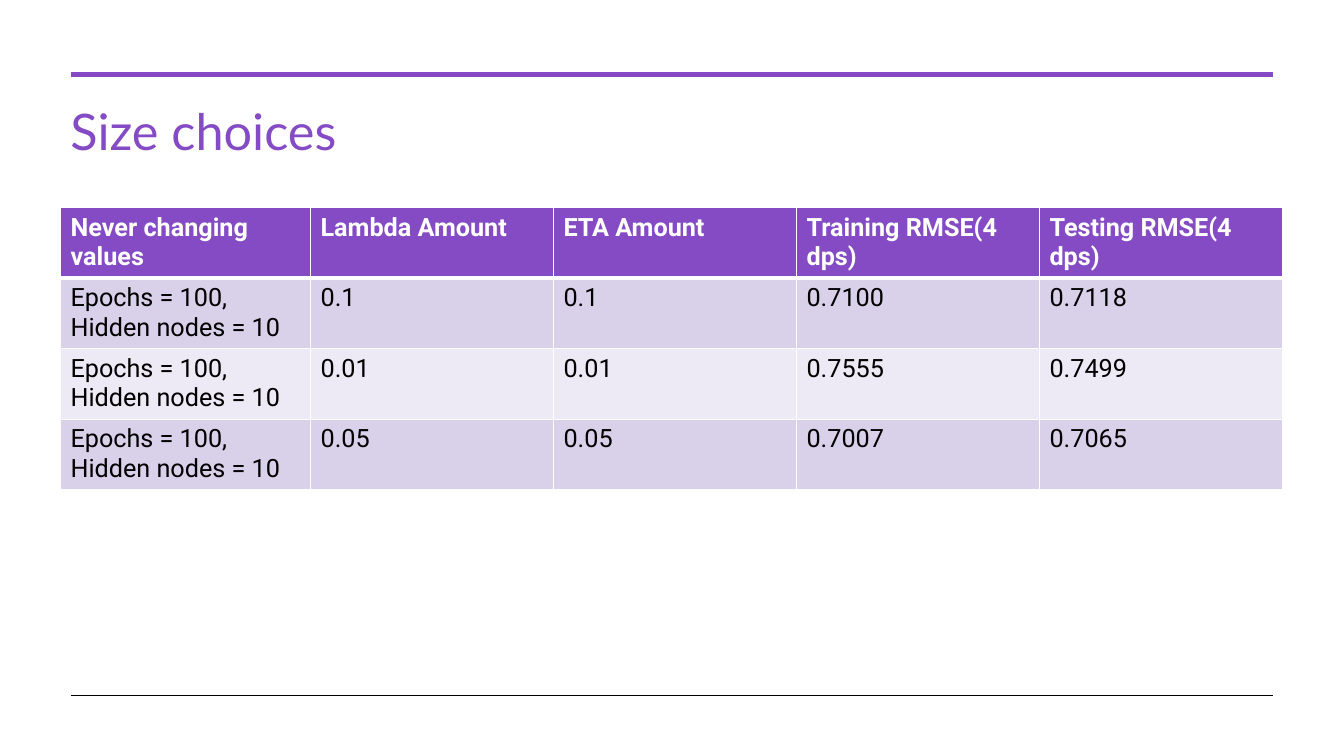
from lxml.etree import SubElement
from pptx import Presentation
from pptx.dml.color import RGBColor
from pptx.enum.shapes import MSO_CONNECTOR
from pptx.enum.text import MSO_ANCHOR
from pptx.oxml.ns import qn
from pptx.util import Inches, Pt

PURPLE = RGBColor(0x84, 0x4B, 0xC5)
LILAC = RGBColor(0xD9, 0xD0, 0xEA)
PALE_LILAC = RGBColor(0xED, 0xE9, 0xF5)
WHITE = RGBColor(0xFF, 0xFF, 0xFF)
BLACK = RGBColor(0, 0, 0)

HEADERS = ["Never changing values", "Lambda Amount", "ETA Amount",
           "Training RMSE(4 dps)", "Testing RMSE(4 dps)"]
FIXED_VALUES = "Epochs = 100, Hidden nodes = 10"
RESULTS = [
    ["0.1", "0.1", "0.7100", "0.7118"],
    ["0.01", "0.01", "0.7555", "0.7499"],
    ["0.05", "0.05", "0.7007", "0.7065"],
]


def write_text(tf, text, size=18, font="Roboto", color=BLACK, bold=False, spacing=None):
    tf.word_wrap = True
    p = tf.paragraphs[0]
    p.line_spacing = spacing
    r = p.add_run()
    r.text = text
    r.font.size = Pt(size)
    r.font.name = font
    r.font.bold = bold
    r.font.color.rgb = color


def add_rule(slide, left, top, width, color, weight):
    line = slide.shapes.add_connector(MSO_CONNECTOR.STRAIGHT, Inches(left), Inches(top),
                                      Inches(left + width), Inches(top))
    line.line.color.rgb = color
    line.line.width = Pt(weight)
    SubElement(line._element.spPr, qn("a:effectLst"))


def add_title(slide, left, top, width, height):
    box = slide.shapes.add_textbox(Inches(left), Inches(top), Inches(width), Inches(height))
    tf = box.text_frame
    tf.vertical_anchor = MSO_ANCHOR.TOP
    write_text(tf, "Size choices", size=36, font="Lato", color=PURPLE, spacing=0.85)


def set_borders(cell, **weights):
    tc_pr = cell._tc.get_or_add_tcPr()
    for i, (side, weight) in enumerate(weights.items()):
        ln = tc_pr.makeelement(qn(f"a:{side}"), {"w": str(Pt(weight))})
        fill = SubElement(ln, qn("a:solidFill"))
        SubElement(fill, qn("a:srgbClr"), val=str(WHITE))
        tc_pr.insert(i, ln)


def add_results_table(slide, left, top, width, height, first_col=2.48):
    rows = [HEADERS] + [[FIXED_VALUES] + result for result in RESULTS]
    frame = slide.shapes.add_table(len(rows), len(HEADERS), Inches(left), Inches(top),
                                   Inches(width), Inches(height))
    table = frame.table
    other_col = (width - first_col) / (len(HEADERS) - 1)
    for i, col in enumerate(table.columns):
        col.width = Inches(other_col if i else first_col)
    for i, values in enumerate(rows):
        table.rows[i].height = Inches(height / len(rows))
        header = i == 0
        for j, value in enumerate(values):
            cell = table.cell(i, j)
            cell.fill.solid()
            cell.fill.fore_color.rgb = PURPLE if header else LILAC if i % 2 else PALE_LILAC
            write_text(cell.text_frame, value, color=WHITE if header else BLACK, bold=header)
            set_borders(cell, lnL=1, lnR=1, lnT=3 if i == 1 else 1, lnB=3 if header else 1)


def build_slide(prs):
    slide = prs.slides.add_slide(prs.slide_layouts[6])
    add_rule(slide, 0.7, 0.74, 11.93, PURPLE, 3)
    add_rule(slide, 0.7, 6.9, 11.93, BLACK, 0.5)
    add_title(slide, 0.6, 1.04, 12.02, 1.18)
    add_results_table(slide, 0.6, 2.06, 12.12, 2.72)


def main():
    prs = Presentation()
    prs.slide_width = Inches(13.33)
    prs.slide_height = Inches(7.5)
    build_slide(prs)
    prs.save("out.pptx")


if __name__ == "__main__":
    main()
